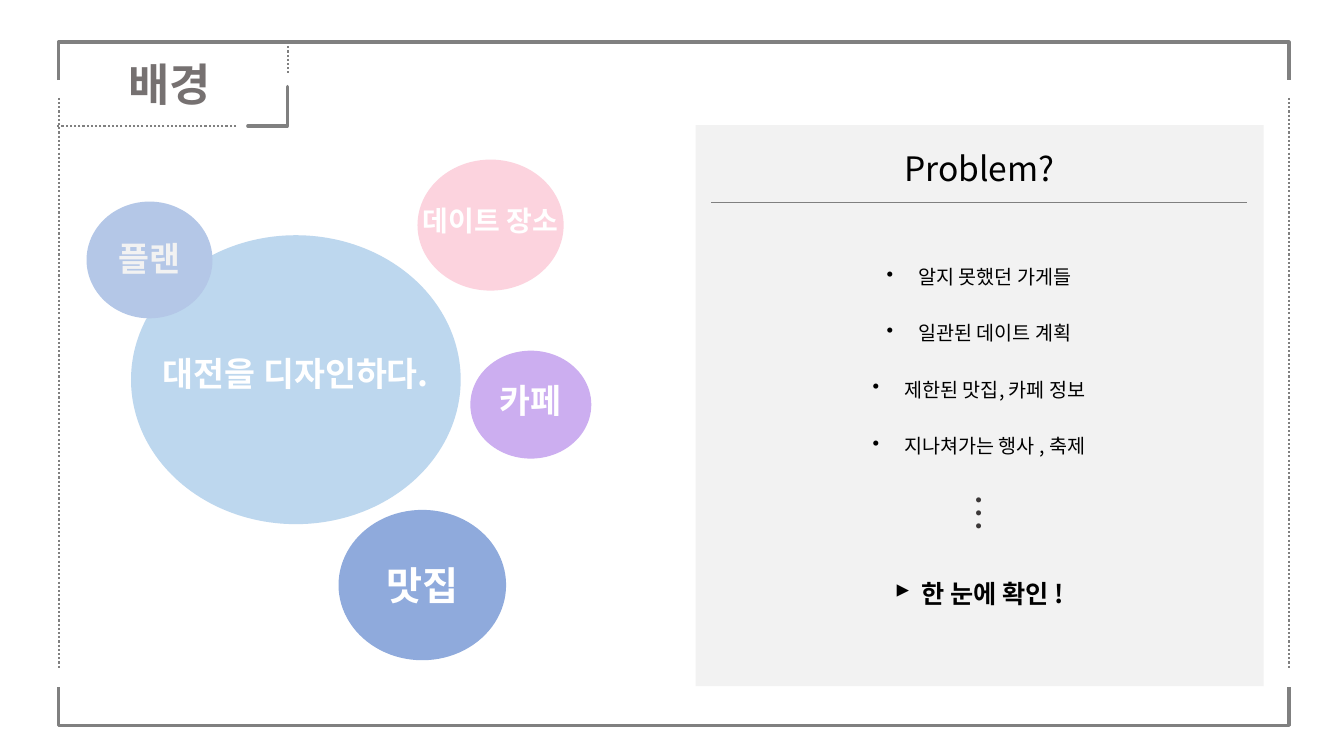
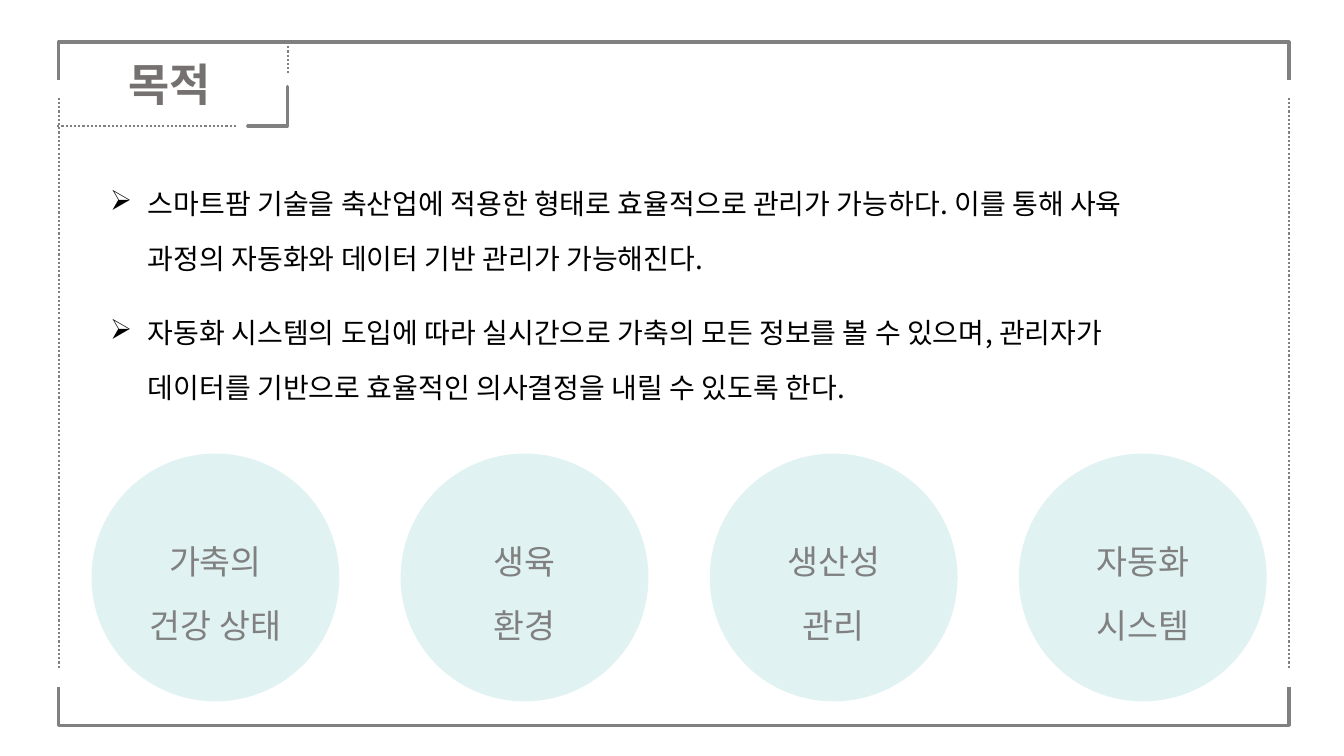
import pptx
import pptx.dml.color
import pptx.enum.dml
import pptx.enum.shapes
import pptx.enum.text
import pptx.oxml
import pptx.oxml.ns
import pptx.util

COLUMNS, ROWS = 160, 90
CELL = pptx.util.Inches(1 / 12)
FONT = "Noto Sans CJK KR"
COLORS = {
    "frame": "808080", "title": "767171", "ink": "000000", "dots": "3B3838",
    "panel": "F2F2F2", "white": "FFFFFF", "navy": "8FAADC", "violet": "CCAEF0",
    "pink": "FCD3DE", "sky": "BDD7EE", "blue": "B4C7E7", "mint": "E0F2F1",
}
SHAPE = pptx.enum.shapes.MSO_SHAPE
ALIGN = pptx.enum.text.PP_ALIGN
ANCHOR = pptx.enum.text.MSO_ANCHOR


def cells(count):
    return pptx.util.Emu(round(count * CELL))


def rgb(name):
    return pptx.dml.color.RGBColor.from_string(COLORS[name])


class Deck:
    """Shared style plus the slide being built; lengths are grid cells."""

    def __init__(self):
        self.presentation = pptx.Presentation()
        self.presentation.slide_width = cells(COLUMNS)
        self.presentation.slide_height = cells(ROWS)
        self.slide = None

    def new_slide(self, title):
        layout = self.presentation.slide_layouts[6]
        self.slide = self.presentation.slides.add_slide(layout)
        self.bracket(5, 90)
        self.bracket(81.8, 270)
        for edge in (7, 153.45):
            self.line(edge, 11.65, edge, 79.55, dotted=True)
        corner = self.shape(SHAPE.HALF_FRAME, 29.5, 10.3, 4.7, 4.7, "frame", 2.25)
        corner.adjustments[0] = corner.adjustments[1] = 0
        corner.rotation = 180
        self.line(28.1, 15, 6.75, 15, dotted=True)
        self.line(34.3, 5, 34.3, 8.65, dotted=True)
        self.text(7.85, 6.1, 24.7, 7.7, [title], 32, "title", bold=True)

    def bracket(self, top, rotation, left=6.95, span=146.5, leg=4.55):
        """Draw a wide frame end by turning an upright bracket about its centre."""
        bracket = self.shape(SHAPE.LEFT_BRACKET, left + (span - leg) / 2,
                             top + (leg - span) / 2, leg, span, None, 2.25)
        bracket.adjustments[0] = 0
        bracket.rotation = rotation

    def shape(self, kind, left, top, width, height, fill, outline=0):
        shape = self.slide.shapes.add_shape(
            kind, cells(left), cells(top), cells(width), cells(height))
        shape.shadow.inherit = False
        if fill:
            shape.fill.solid()
            shape.fill.fore_color.rgb = rgb(fill)
        else:
            shape.fill.background()
        if outline:
            shape.line.color.rgb = rgb("frame")
            shape.line.width = pptx.util.Pt(outline)
        else:
            shape.line.fill.background()
        return shape

    def line(self, x1, y1, x2, y2, dotted=False):
        line = self.slide.shapes.add_connector(
            pptx.enum.shapes.MSO_CONNECTOR.STRAIGHT,
            cells(x1), cells(y1), cells(x2), cells(y2))
        line.line.color.rgb = rgb("frame")
        line.line.width = pptx.util.Pt(1.5 if dotted else 0.5)
        if dotted:
            line.line.dash_style = pptx.enum.dml.MSO_LINE.ROUND_DOT
        properties = line._element.spPr
        properties.append(pptx.oxml.parse_xml(
            f"<a:effectLst {pptx.oxml.ns.nsdecls('a')}/>"))

    def bubble(self, left, top, width, height, fill, lines, size, color="white",
               drop=0, **style):
        """Draw an ellipse whose text sits `drop` cells below its centre."""
        ellipse = self.shape(SHAPE.OVAL, left, top, width, height, fill)
        frame = self.fill_frame(ellipse, lines, size, color, **style)
        frame.word_wrap = False
        frame.margin_top = cells(max(0, 2 * drop))
        frame.margin_bottom = cells(max(0, -2 * drop))

    def text(self, left, top, width, height, lines, size, color="ink", **style):
        box = self.slide.shapes.add_textbox(
            cells(left), cells(top), cells(width), cells(height))
        self.fill_frame(box, lines, size, color, **style).word_wrap = True

    def fill_frame(self, holder, lines, size, color, bold=False, align=ALIGN.CENTER,
                   anchor=ANCHOR.MIDDLE, leading=None, gap=0, bullet=None, indent=0):
        """Fill a shape's text; leading and gap are points, indent is cells."""
        frame = holder.text_frame
        frame.margin_left = frame.margin_right = 0
        frame.margin_top = frame.margin_bottom = 0
        frame.vertical_anchor = anchor
        frame.text = "\n".join(lines)
        for number, paragraph in enumerate(frame.paragraphs):
            paragraph.alignment = align
            if leading:
                paragraph.line_spacing = pptx.util.Pt(leading)
            if gap and number:
                paragraph.space_before = pptx.util.Pt(gap)
            if bullet:
                self.add_bullet(paragraph, bullet, indent)
            for run in paragraph.runs:
                self.style_run(run, size, color, bold)
        return frame

    def add_bullet(self, paragraph, bullet, indent):
        properties = paragraph._p.get_or_add_pPr()
        properties.set("marL", str(cells(indent)))
        properties.set("indent", str(-cells(indent)))
        properties.append(pptx.oxml.parse_xml(
            f"<a:buChar {pptx.oxml.ns.nsdecls('a')} char='{bullet}'/>"))

    def style_run(self, run, size, color, bold):
        run.font.name = FONT
        run.font.size = pptx.util.Pt(size)
        run.font.bold = bold
        run.font.color.rgb = rgb(color)
        run._r.rPr.append(pptx.oxml.parse_xml(
            f"<a:ea {pptx.oxml.ns.nsdecls('a')} typeface='{FONT}'/>"))


def background_slide(deck):
    deck.new_slide("배경")
    deck.shape(SHAPE.RECTANGLE, 82.8, 14.9, 67.65, 66.8, "panel")
    deck.line(84.7, 24.1, 148.45, 24.1)
    bubbles = [
        (40.3, 60.7, 19.95, 17.9, "navy", "맛집", 28, "white", 0),
        (56, 41.75, 14.4, 12.85, "violet", "카페", 24, "white", -0.5),
        (49.7, 19, 17.4, 15.6, "pink", "데이트 장소", 20, "white", -0.6),
        (15.6, 28, 39.25, 34.4, "sky", "대전을 디자인하다.", 24, "white", -0.8),
        (10.3, 24, 15, 13.9, "blue", "플랜", 24, "panel", -0.2),
    ]
    for left, top, width, height, fill, label, size, color, drop in bubbles:
        deck.bubble(left, top, width, height, fill, [label], size, color,
                    drop=drop, bold=True)

    deck.text(84.7, 17, 63.75, 6, ["Problem?"], 24)
    problems = ["알지 못했던 가게들", "일관된 데이트 계획",
                "제한된 맛집, 카페 정보", "지나쳐가는 행사 , 축제"]
    deck.text(85.8, 30.2, 61.55, 24.4, problems, 14,
              leading=24, gap=16.2, bullet="•", indent=3.75)
    deck.text(113, 58.3, 7, 4.8, ["●"] * 3, 4, "dots",
              anchor=ANCHOR.TOP, leading=9.6)
    deck.text(85.8, 68, 61.55, 5.2, ["한 눈에 확인 !"], 18,
              bold=True, bullet="▸", indent=3.2)


def purpose_slide(deck):
    deck.new_slide("목적")
    purposes = [
        "스마트팜 기술을 축산업에 적용한 형태로 효율적으로 관리가 가능하다. 이를 통해 사육 "
        "과정의 자동화와 데이터 기반 관리가 가능해진다.",
        "자동화 시스템의 도입에 따라 실시간으로 가축의 모든 정보를 볼 수 있으며, 관리자가 "
        "데이터를 기반으로 효율적인 의사결정을 내릴 수 있도록 한다.",
    ]
    for number, purpose in enumerate(purposes):
        deck.text(13.1, 19.7 + 15.35 * number, 126.1, 12.5, [purpose], 20,
                  align=ALIGN.LEFT, anchor=ANCHOR.TOP, leading=39.2,
                  bullet="➢", indent=4.5)

    goals = [("가축의", "건강 상태"), ("생육", "환경"),
             ("생산성", "관리"), ("자동화", "시스템")]
    for number, goal in enumerate(goals):
        deck.bubble(10.9 + 36.8 * number, 54, 29.5, 29.5, "mint", goal, 24,
                    "frame", drop=0.4, leading=45.7)


def main():
    deck = Deck()
    background_slide(deck)
    purpose_slide(deck)
    deck.presentation.save("out.pptx")


if __name__ == "__main__":
    main()
